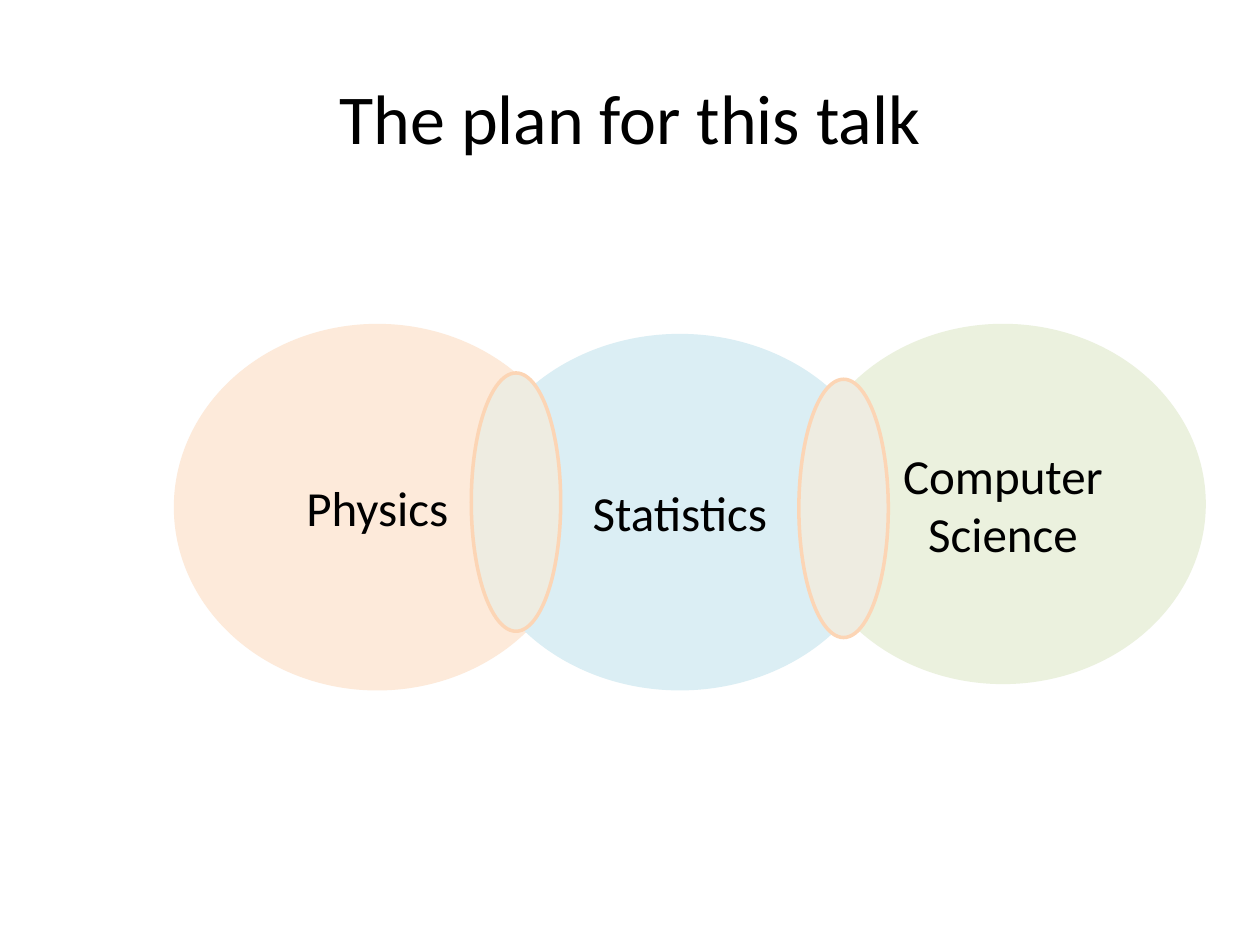
from dataclasses import dataclass

from pptx import Presentation
from pptx.dml.color import RGBColor
from pptx.enum.shapes import MSO_SHAPE as Shape
from pptx.enum.text import MSO_ANCHOR as Anchor, PP_ALIGN as Align
from pptx.util import Inches, Pt

COLOURS = {
    "text": "000000",
    "physics": "FDEADA",
    "statistics": "DBEEF4",
    "computing": "EBF1DE",
    "overlap": "EEECE1",
    "outline": "FCD5B5",
}


@dataclass(frozen=True)
class Oval:
    left: float
    top: float
    width: float
    height: float
    fill: str
    label: str = ""
    outline: str = ""


FIELDS = (
    Oval(1.38, 2.57, 3.23, 2.91, "physics", "Physics"),
    Oval(3.74, 2.65, 3.31, 2.83, "statistics", "Statistics"),
    Oval(6.35, 2.57, 3.22, 2.86, "computing", "Computer Science"),
)
OVERLAPS = tuple(
    Oval(left, top, 0.71, 2.05, "overlap", outline="outline")
    for left, top in ((3.74, 2.96), (6.34, 3.01))
)


def colour(name: str) -> RGBColor:
    return RGBColor.from_string(COLOURS[name])


def write_text(box, text: str, size: int) -> None:
    frame = box.text_frame
    frame.word_wrap = True
    frame.vertical_anchor = Anchor.MIDDLE
    para = frame.paragraphs[0]
    para.alignment = Align.CENTER
    span = para.add_run()
    span.text = text
    for key, value in {"name": "Calibri", "size": Pt(size)}.items():
        setattr(span.font, key, value)
    span.font.color.rgb = colour("text")


def draw_oval(page, oval: Oval) -> None:
    lengths = (oval.left, oval.top, oval.width, oval.height)
    shape = page.shapes.add_shape(Shape.OVAL, *map(Inches, lengths))
    shape.shadow.inherit = False
    shape.fill.solid()
    shape.fill.fore_color.rgb = colour(oval.fill)
    if oval.outline:
        shape.line.color.rgb = colour(oval.outline)
        shape.line.width = Pt(2)
    else:
        shape.line.fill.background()
    if oval.label:
        write_text(shape, oval.label, 28)


def main() -> None:
    """Build the slide with three overlapping fields."""
    deck = Presentation()
    deck.slide_width, deck.slide_height = Inches(10), Inches(7.5)
    page = deck.slides.add_slide(deck.slide_layouts[6])
    title = page.shapes.add_textbox(*map(Inches, (0.5, 0.3, 9, 1.25)))
    write_text(title, "The plan for this talk", 40)
    for oval in FIELDS + OVERLAPS:
        draw_oval(page, oval)
    deck.save("out.pptx")


if __name__ == "__main__":
    main()
